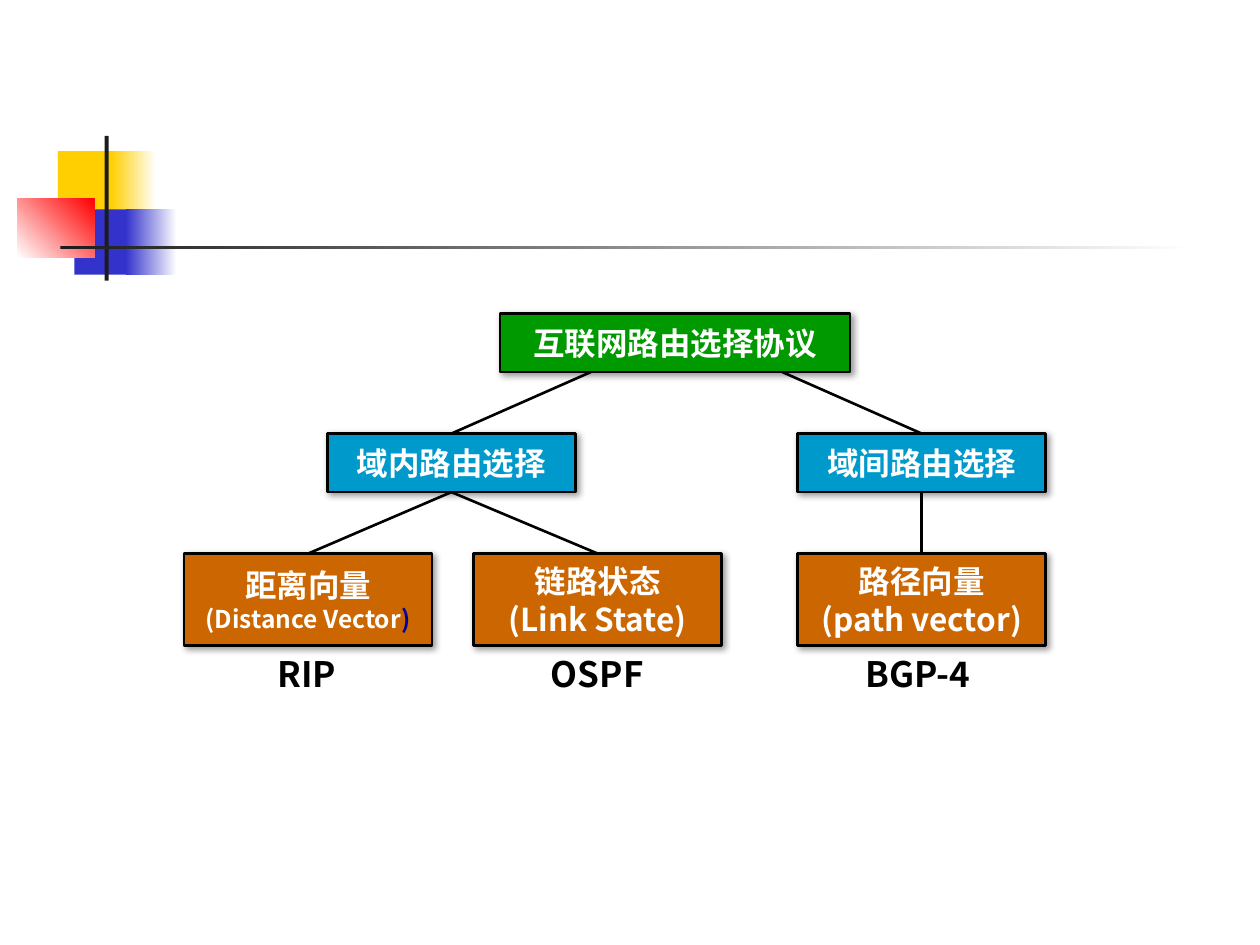
from dataclasses import dataclass

from lxml import etree
from pptx import Presentation
from pptx import util as u
from pptx.dml.color import RGBColor
from pptx.enum import shapes, text
from pptx.oxml import ns


@dataclass(frozen=True)
class Theme:
    font: str = "Noto Sans CJK SC"
    white: str = "FFFFFF"
    black: str = "000000"
    navy: str = "000099"
    root: str = "009900"
    branch: str = "0099CC"
    leaf: str = "CC6600"
    yellow: str = "FFCF01"
    blue: str = "3333CC"
    red: str = "FF0000"
    charcoal: str = "1C1C1C"
    label_size: int = 20
    node_size: int = 18
    small_size: int = 14
    line_width: float = 1.5


THEME = Theme()


def write_span(para, words, size=THEME.node_size, color=THEME.white, bold=True):
    span = para.add_run()
    span.text = words
    span.font.name = THEME.font
    span.font.size = u.Pt(size)
    span.font.bold = bold
    span.font.color.rgb = RGBColor.from_string(color)
    east_asian = etree.SubElement(span.font._element, ns.qn("a:ea"))
    east_asian.set("typeface", THEME.font)


@dataclass
class Node:
    left: float
    top: float
    width: float
    height: float

    @property
    def center(self):
        return self.left + self.width / 2

    @property
    def bottom(self):
        return self.top + self.height


class Painter:
    def __init__(self, theme, page):
        self.theme = theme
        self.page = page

    def rectangle(self, left, top, width, height):
        box = self.page.shapes.add_shape(
            shapes.MSO_SHAPE.RECTANGLE, u.Cm(left), u.Cm(top), u.Cm(width), u.Cm(height)
        )
        box.shadow.inherit = False
        box.line.fill.background()
        return box

    def block(self, *place, color):
        box = self.rectangle(*place)
        box.fill.solid()
        box.fill.fore_color.rgb = RGBColor.from_string(color)
        return box

    def fade(self, *place, start, end, angle=0):
        box = self.rectangle(*place)
        box.fill.gradient()
        box.fill.gradient_angle = angle
        for stop, color in zip(box.fill.gradient_stops, (start, end)):
            stop.color.rgb = RGBColor.from_string(color)

    def drop_shadow(self, box):
        effects = box._element.spPr.find(ns.qn("a:effectLst"))
        shadow = etree.SubElement(
            effects, ns.qn("a:outerShdw"), blurRad=str(u.Pt(4)), dist=str(u.Pt(2)),
            dir="2700000", algn="tl", rotWithShape="0",
        )
        color = etree.SubElement(shadow, ns.qn("a:srgbClr"), val=self.theme.black)
        etree.SubElement(color, ns.qn("a:alpha"), val="40000")

    def outline(self, line):
        line.color.rgb = RGBColor.from_string(self.theme.black)
        line.width = u.Pt(self.theme.line_width)

    def node(self, place, color, *lines):
        box = self.block(place.left, place.top, place.width, place.height, color=color)
        self.outline(box.line)
        self.drop_shadow(box)
        frame = box.text_frame
        frame.vertical_anchor = text.MSO_ANCHOR.MIDDLE
        for index, spans in enumerate(lines):
            para = frame.add_paragraph() if index else frame.paragraphs[0]
            para.alignment = text.PP_ALIGN.CENTER
            for words, style in spans:
                write_span(para, words, **style)

    def link(self, start_x, start_y, end_x, end_y):
        line = self.page.shapes.add_connector(
            shapes.MSO_CONNECTOR.STRAIGHT,
            u.Cm(start_x), u.Cm(start_y), u.Cm(end_x), u.Cm(end_y),
        )
        self.outline(line.line)
        etree.SubElement(line._element.spPr, ns.qn("a:effectLst"))

    def label(self, words, center, top, width):
        box = self.page.shapes.add_textbox(
            u.Cm(center - width / 2), u.Cm(top), u.Cm(width), u.Cm(1.12)
        )
        frame = box.text_frame
        frame.word_wrap = False
        frame.auto_size = text.MSO_AUTO_SIZE.SHAPE_TO_FIT_TEXT
        write_span(frame.paragraphs[0], words, size=self.theme.label_size, color=self.theme.black)


def draw_ornament(painter):
    theme = painter.theme
    painter.block(1.17, 3.05, 1.22, 1.32, color=theme.yellow)
    painter.fade(2.24, 3.05, 0.91, 1.32, start=theme.yellow, end=theme.white)
    painter.block(1.5, 4.22, 1.17, 1.32, color=theme.blue)
    painter.fade(2.54, 4.22, 1.02, 1.32, start=theme.blue, end=theme.white)
    painter.fade(0.35, 4.01, 1.55, 1.18, start=theme.white, end=theme.red, angle=45)
    painter.block(2.11, 2.74, 0.08, 2.92, color=theme.charcoal)
    painter.fade(1.22, 4.95, 22.86, 0.08, start=theme.charcoal, end=theme.white)


def draw_tree(painter):
    theme = painter.theme
    root_top, branch_top, leaf_top = (6.32 + 2.42 * level for level in range(3))
    node_width, node_height, leaf_height = 5, 1.18, 1.86

    root = Node(10.08, root_top, 7.06, node_height)
    inner, outer = (Node(left, branch_top, node_width, node_height) for left in (6.6, 16.08))
    distance, state, path_vector = (
        Node(left, leaf_top, node_width, leaf_height) for left in (3.71, 9.55, 16.08)
    )

    painter.node(root, theme.root, [("互联网路由选择协议", {})])
    painter.node(inner, theme.branch, [("域内路由选择", {})])
    painter.node(outer, theme.branch, [("域间路由选择", {})])
    small = {"size": theme.small_size}
    painter.node(
        distance, theme.leaf, [("距离向量", {})],
        [("(Distance Vector", small), (")", {**small, "color": theme.navy})],
    )
    painter.node(state, theme.leaf, [("链路状态", {})], [("(Link State)", {})])
    painter.node(path_vector, theme.leaf, [("路径向量", {})], [("(path vector)", {})])

    for start_x, parent, child in (
        (11.91, root, inner),
        (15.77, root, outer),
        (inner.center, inner, distance),
        (inner.center, inner, state),
        (outer.center, outer, path_vector),
    ):
        painter.link(start_x, parent.bottom, child.center, child.top)

    for words, leaf, width in (
        ("RIP", distance, 1.73), ("OSPF", state, 2.39), ("BGP-4", path_vector, 2.77)
    ):
        painter.label(words, leaf.center, leaf.bottom, width)


def main():
    deck = Presentation()
    deck.slide_width = u.Cm(25.4)
    deck.slide_height = u.Cm(19.05)
    page = deck.slides.add_slide(deck.slide_layouts[6])
    painter = Painter(THEME, page)
    draw_ornament(painter)
    draw_tree(painter)
    deck.save("out.pptx")


if __name__ == "__main__":
    main()
